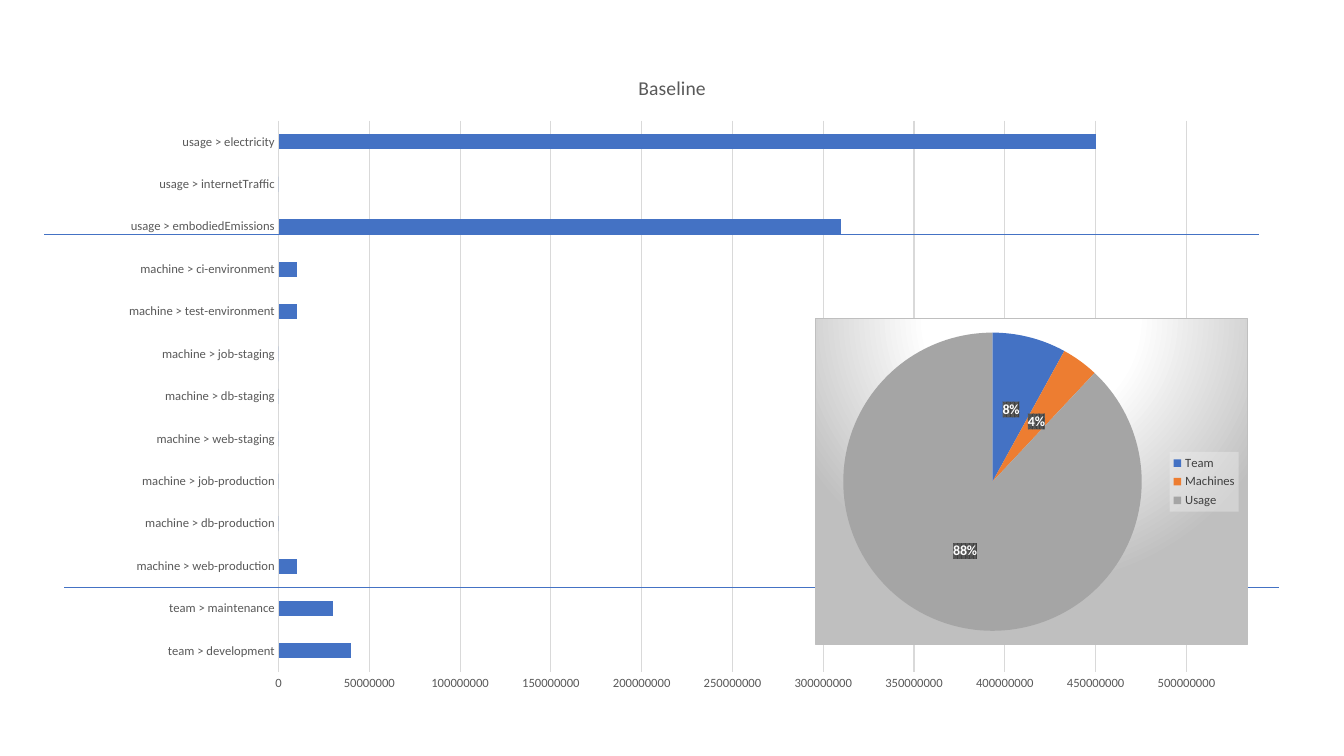
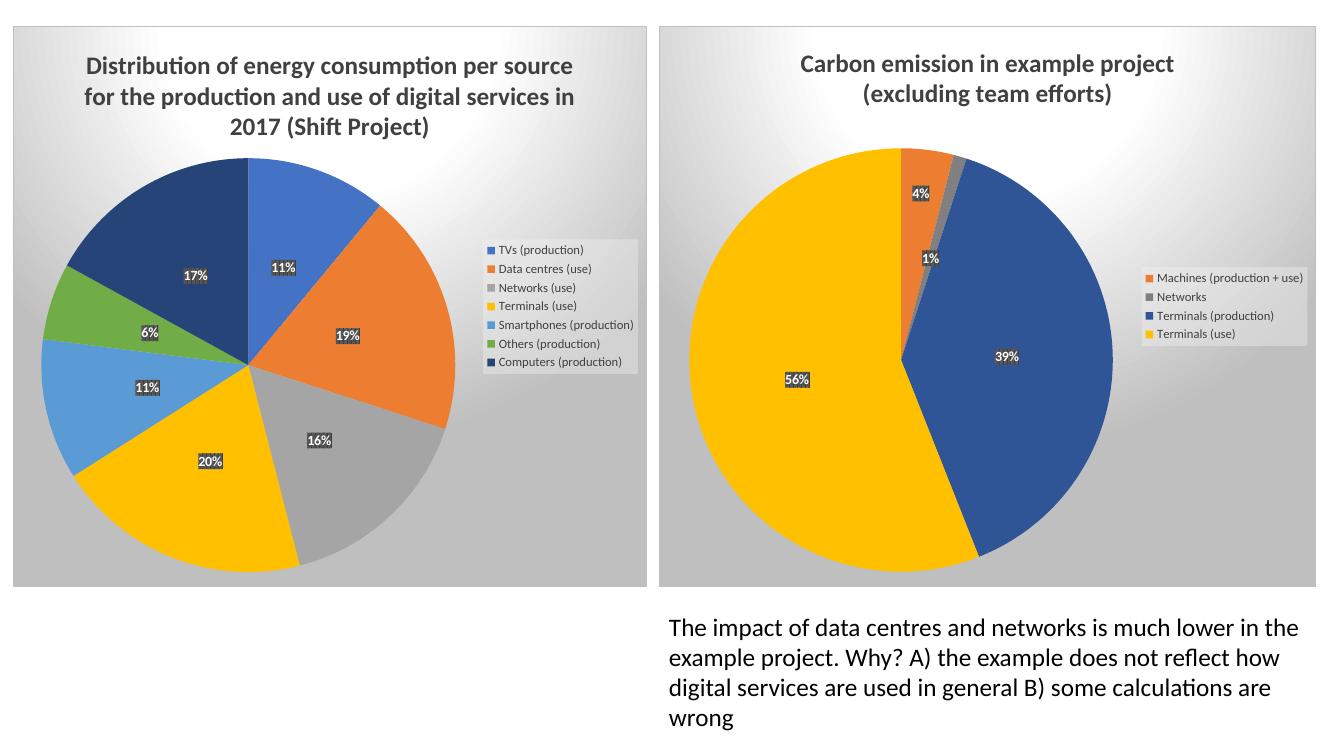
from copy import deepcopy
from dataclasses import dataclass

from lxml.etree import SubElement
from pptx import Presentation
from pptx.chart.chart import Chart
from pptx.chart.data import CategoryChartData as ChartData
from pptx.dml.color import RGBColor
from pptx.enum.chart import XL_CHART_TYPE as ChartType
from pptx.enum.chart import XL_LABEL_POSITION as LabelPosition
from pptx.enum.chart import XL_LEGEND_POSITION as LegendPosition
from pptx.enum.chart import XL_TICK_MARK as TickMark
from pptx.enum.shapes import MSO_CONNECTOR as ConnectorType
from pptx.enum.text import MSO_AUTO_SIZE as AutoSize
from pptx.oxml import parse_xml
from pptx.oxml.ns import nsdecls, qn
from pptx.slide import Slide
from pptx.text.text import Font
from pptx.util import Cm, Pt

FONT = "Calibri"
COLORS = {
    "blue": "4472C4", "orange": "ED7D31", "gray": "A5A5A5", "gold": "FFC000",
    "sky": "5B9BD5", "green": "70AD47", "navy": "264478", "steel": "808080",
    "royal": "2F5597", "black": "000000", "white": "FFFFFF", "ink": "404040",
    "muted": "595959", "grid": "D9D9D9", "silver": "BFBFBF", "mist": "F2F2F2",
}


@dataclass(frozen=True)
class Area:
    left: float
    top: float
    width: float
    height: float

    def lengths(self) -> tuple[Cm, Cm, Cm, Cm]:
        return Cm(self.left), Cm(self.top), Cm(self.width), Cm(self.height)


@dataclass(frozen=True)
class Slice:
    name: str
    share: int
    color: str


@dataclass(frozen=True)
class Pie:
    area: Area
    plot: Area
    slices: tuple[Slice, ...]
    title: str = ""
    raised_label: int | None = None


@dataclass(frozen=True)
class Rule:
    start: float
    end: float
    height: float


BASELINE_VALUES = {
    "team > development": 40_000_000,
    "team > maintenance": 30_000_000,
    "machine > web-production": 10_000_000,
    "machine > db-production": 0,
    "machine > job-production": 0,
    "machine > web-staging": 0,
    "machine > db-staging": 0,
    "machine > job-staging": 0,
    "machine > test-environment": 10_000_000,
    "machine > ci-environment": 10_000_000,
    "usage > embodiedEmissions": 310_000_000,
    "usage > internetTraffic": 0,
    "usage > electricity": 450_000_000,
}
BASELINE_AREA = Area(2.69, 1.32, 28.5, 16.41)
BASELINE_PLOT = Area(4.33, 1.72, 22.88, 13.9)
GROUP_RULES = (Rule(1.11, 31.72, 5.9), Rule(1.62, 32.23, 14.81))

GROUP_PIE = Pie(
    Area(20.54, 8.02, 10.9, 8.24),
    Area(0.7, 0.35, 7.54, 7.54),
    (Slice("Team", 8, "blue"), Slice("Machines", 4, "orange"), Slice("Usage", 88, "gray")),
)
COMPARISON_PIES = (
    Pie(
        Area(0.32, 0.66, 15.98, 14.13),
        Area(0.71, 3.32, 10.45, 10.45),
        (
            Slice("TVs (production)", 11, "blue"),
            Slice("Data centres (use)", 19, "orange"),
            Slice("Networks (use)", 16, "gray"),
            Slice("Terminals (use)", 20, "gold"),
            Slice("Smartphones (production)", 11, "sky"),
            Slice("Others (production)", 6, "green"),
            Slice("Computers (production)", 17, "navy"),
        ),
        "Distribution of energy consumption per source for the production "
        "and use of digital services in 2017 (Shift Project)",
    ),
    Pie(
        Area(16.61, 0.66, 16.56, 14.13),
        Area(0.75, 3.07, 10.69, 10.69),
        (
            Slice("Machines (production + use)", 4, "orange"),
            Slice("Networks", 1, "steel"),
            Slice("Terminals (production)", 39, "royal"),
            Slice("Terminals (use)", 56, "gold"),
        ),
        "Carbon emission in example project\n(excluding team efforts)",
        raised_label=0,
    ),
)
QUESTION_AREA = Area(16.61, 15.27, 16.76, 3.33)
QUESTION_LINES = (
    "The impact of data centres and networks is much lower in the",
    "example project. Why? A) the example does not reflect how",
    "digital services are used in general B) some calculations are",
    "wrong",
)


def rgb(name: str) -> RGBColor:
    return RGBColor.from_string(COLORS[name])


def style_font(font: Font, size: float, color: str, bold: bool = False) -> None:
    font.name = FONT
    font.size = Pt(size)
    font.bold = bold
    font.color.rgb = rgb(color)


def solid_fill(color: str, alpha: int) -> str:
    return (f'<a:solidFill><a:srgbClr val="{COLORS[color]}">'
            f'<a:alpha val="{alpha * 1000}"/></a:srgbClr></a:solidFill>')


def pattern_fill(front: str, back: str) -> str:
    return (f'<a:pattFill prst="pct75"><a:fgClr><a:srgbClr val="{COLORS[front]}"/></a:fgClr>'
            f'<a:bgClr><a:srgbClr val="{COLORS[back]}"/></a:bgClr></a:pattFill>')


def spotlight_fill() -> str:
    stops = "".join(
        f'<a:gs pos="{place * 1000}"><a:srgbClr val="{COLORS[color]}"/></a:gs>'
        for place, color in ((0, "white"), (39, "white"), (100, "silver"))
    )
    border = f'<a:ln w="9525"><a:solidFill><a:srgbClr val="{COLORS["silver"]}"/></a:solidFill></a:ln>'
    return (f'<a:gradFill><a:gsLst>{stops}</a:gsLst><a:path path="circle">'
            '<a:fillToRect l="50000" t="-80000" r="50000" b="180000"/>'
            f'</a:path></a:gradFill>{border}')


def paint(parent, fill: str) -> None:
    properties = parse_xml(f'<c:spPr {nsdecls("c", "a")}>{fill}</c:spPr>')
    parent.find(qn("c:txPr")).addprevious(properties)


def place_plot(chart: Chart, area: Area, plot: Area) -> None:
    plot_area = chart.element.xpath(".//c:plotArea")[0]
    for layout in plot_area.findall(qn("c:layout")):
        plot_area.remove(layout)
    layout = parse_xml(
        f'<c:layout {nsdecls("c")}><c:manualLayout><c:layoutTarget val="inner"/>'
        '<c:xMode val="edge"/><c:yMode val="edge"/>'
        f'<c:x val="{plot.left / area.width}"/><c:y val="{plot.top / area.height}"/>'
        f'<c:w val="{plot.width / area.width}"/><c:h val="{plot.height / area.height}"/>'
        '</c:manualLayout></c:layout>'
    )
    plot_area.insert(0, layout)


def add_chart(page: Slide, kind: ChartType, area: Area, plot: Area,
              values: dict[str, int], title: str, title_size: float,
              title_color: str, bold: bool) -> Chart:
    data = ChartData()
    data.categories = list(values)
    data.add_series("Series 1", list(values.values()))
    chart = page.shapes.add_chart(kind, *area.lengths(), data).chart
    style_font(chart.font, 10, "black")
    chart.has_legend = False
    chart.has_title = bool(title)
    if title:
        frame = chart.chart_title.text_frame
        frame.text = title
        for para in frame.paragraphs:
            style_font(para.font, title_size, title_color, bold)
        chart.chart_title.include_in_layout = False
    place_plot(chart, area, plot)
    return chart


def raise_label(labels, index: int) -> None:
    label = parse_xml(
        f'<c:dLbl {nsdecls("c")}><c:idx val="{index}"/><c:layout><c:manualLayout>'
        '<c:x val="0.01"/><c:y val="-0.11"/></c:manualLayout></c:layout></c:dLbl>'
    )
    for child in labels:
        if child.tag != qn("c:showLeaderLines"):
            label.append(deepcopy(child))
    labels.insert(0, label)


def add_pie(page: Slide, pie: Pie) -> None:
    values = {part.name: part.share for part in pie.slices}
    chart = add_chart(page, ChartType.PIE, pie.area, pie.plot, values, pie.title, 18, "ink", True)
    paint(chart.element, spotlight_fill())

    chart.has_legend = True
    chart.legend.position = LegendPosition.RIGHT
    chart.legend.include_in_layout = False
    style_font(chart.legend.font, 9, "ink")
    paint(chart.element.xpath(".//c:legend")[0], solid_fill("mist", 39))

    chart.plots[0].vary_by_categories = True
    series = chart.plots[0].series[0]
    for index, part in enumerate(pie.slices):
        fill = series.points[index].format.fill
        fill.solid()
        fill.fore_color.rgb = rgb(part.color)

    labels = series.data_labels
    labels.show_value = False
    labels.show_percentage = True
    labels.number_format = "0%"
    labels.number_format_is_linked = False
    labels.position = LabelPosition.CENTER
    style_font(labels.font, 10, "white", True)
    label_xml = chart.element.xpath(".//c:ser/c:dLbls")[0]
    paint(label_xml, pattern_fill("ink", "muted"))
    if pie.raised_label is not None:
        raise_label(label_xml, pie.raised_label)


def add_baseline(page: Slide) -> None:
    chart = add_chart(page, ChartType.BAR_CLUSTERED, BASELINE_AREA, BASELINE_PLOT,
                      BASELINE_VALUES, "Baseline", 14, "muted", False)
    bars = chart.plots[0]
    bars.gap_width = 182
    bars.vary_by_categories = False
    fill = bars.series[0].format.fill
    fill.solid()
    fill.fore_color.rgb = rgb("blue")

    categories, amounts = chart.category_axis, chart.value_axis
    for axis in (categories, amounts):
        axis.major_tick_mark = TickMark.NONE
        axis.minor_tick_mark = TickMark.NONE
        style_font(axis.tick_labels.font, 9, "muted")
    amounts.minimum_scale = 0
    amounts.maximum_scale = 500_000_000
    amounts.major_unit = 50_000_000
    amounts.has_major_gridlines = True
    amounts.format.line.fill.background()
    for line in (categories.format.line, amounts.major_gridlines.format.line):
        line.color.rgb = rgb("grid")
        line.width = Pt(0.75)


def add_rule(page: Slide, rule: Rule) -> None:
    line = page.shapes.add_connector(ConnectorType.STRAIGHT, Cm(rule.start), Cm(rule.height),
                                     Cm(rule.end), Cm(rule.height))
    line.line.color.rgb = rgb("blue")
    line.line.width = Pt(0.5)
    SubElement(line.element.spPr, qn("a:effectLst"))


def add_question(page: Slide) -> None:
    frame = page.shapes.add_textbox(*QUESTION_AREA.lengths()).text_frame
    frame.word_wrap = False
    frame.auto_size = AutoSize.SHAPE_TO_FIT_TEXT
    frame.text = "\n".join(QUESTION_LINES)
    for para in frame.paragraphs:
        style_font(para.font, 18, "black")


def main() -> None:
    deck = Presentation()
    deck.slide_width, deck.slide_height = Cm(33.87), Cm(19.05)
    blank = deck.slide_layouts[6]

    baseline = deck.slides.add_slide(blank)
    add_baseline(baseline)
    for rule in GROUP_RULES:
        add_rule(baseline, rule)
    add_pie(baseline, GROUP_PIE)

    comparison = deck.slides.add_slide(blank)
    for pie in COMPARISON_PIES:
        add_pie(comparison, pie)
    add_question(comparison)

    deck.save("out.pptx")


if __name__ == "__main__":
    main()
